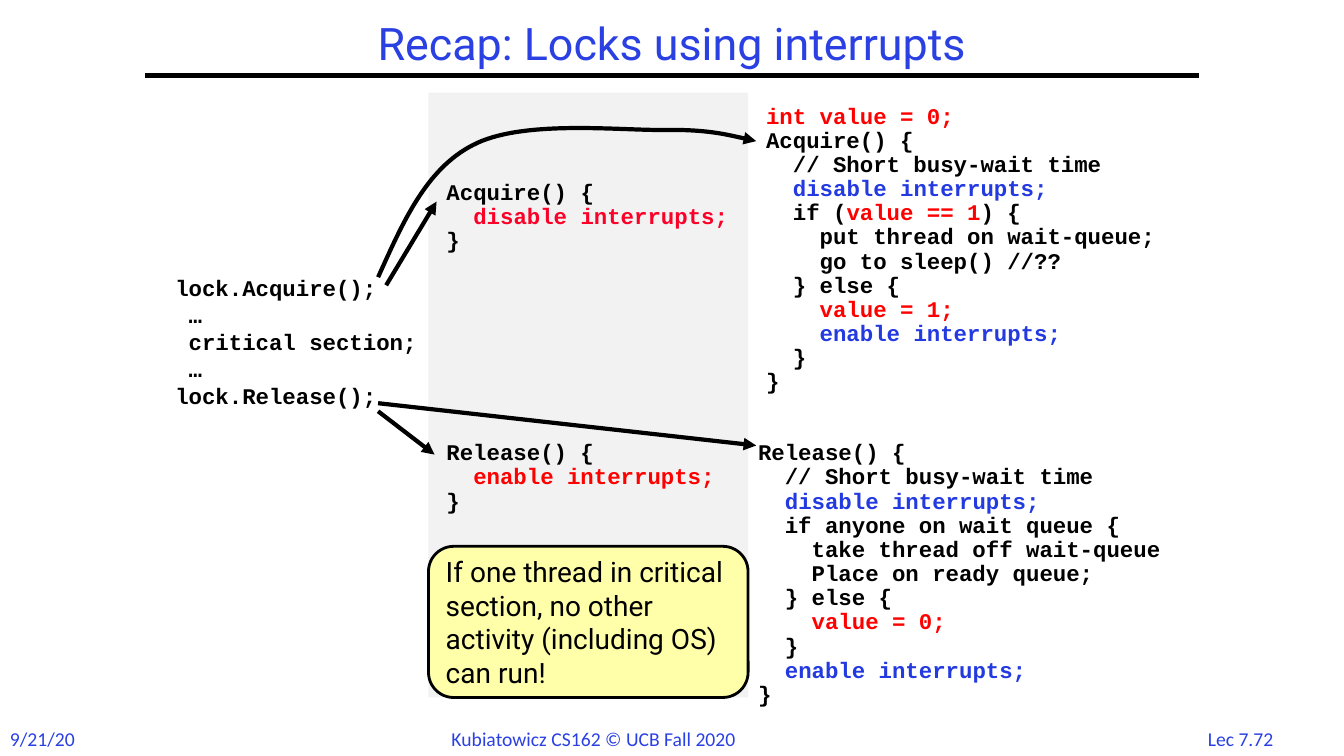
from lxml import etree
from pptx import Presentation
from pptx.dml.color import RGBColor
from pptx.enum import shapes, text
from pptx.oxml.ns import qn
from pptx.util import Inches, Pt

BLACK = RGBColor(0x00, 0x00, 0x00)
BLUE = RGBColor(0x2A, 0x40, 0xE2)
CODE_BLUE = RGBColor(0x23, 0x3A, 0xE1)
RED = RGBColor(0xFF, 0x00, 0x00)
CRIMSON = RGBColor(0xFC, 0x01, 0x28)
GREY = RGBColor(0xF2, 0xF2, 0xF2)
YELLOW = RGBColor(0xFF, 0xFF, 0xAA)

CALLER = """lock.Acquire();
 …
 critical section;
 …
lock.Release();"""

SIMPLE_ACQUIRE = """Acquire() {
  disable interrupts;
}"""

SIMPLE_RELEASE = """Release() {
  enable interrupts;
}"""

FULL_ACQUIRE = """int value = 0;
Acquire() {
  // Short busy-wait time
  disable interrupts;
  if (value == 1) {
    put thread on wait-queue;
    go to sleep() //??
  } else {
    value = 1;
    enable interrupts;
  }
}"""

FULL_RELEASE = """Release() {
  // Short busy-wait time
  disable interrupts;
  if anyone on wait queue {
    take thread off wait-queue
    Place on ready queue;
  } else {
    value = 0;
  }
  enable interrupts;
}"""

INTERRUPTS = {"disable interrupts;": CODE_BLUE, "enable interrupts;": CODE_BLUE}


def set_font(font, name, size, color, bold=False):
    font.name, font.size, font.bold = name, Pt(size), bold
    font.color.rgb = color


def add_text_box(slide, box, wrap=True):
    sp = slide.shapes.add_textbox(*map(Inches, box))
    sp.text_frame.word_wrap = wrap
    return sp.text_frame


def add_label(slide, box, words, name, size, align, wrap=False):
    tf = add_text_box(slide, box, wrap)
    tf.vertical_anchor = text.MSO_ANCHOR.MIDDLE if wrap else text.MSO_ANCHOR.TOP
    p = tf.paragraphs[0]
    p.text, p.alignment = words, align
    set_font(p.font, name, size, BLUE)
    return p


def add_code(slide, box, code, highlights, line_spacing=0.9, gap=0):
    """One paragraph per code line; highlighted phrases get their own colour."""
    tf = add_text_box(slide, box)
    for i, line in enumerate(code.split("\n")):
        p = tf.paragraphs[0] if i == 0 else tf.add_paragraph()
        p.line_spacing = line_spacing
        p.space_before = Pt(gap if i else 0)
        set_font(p.font, "Courier New", 16, BLACK, bold=True)
        phrase = next((h for h in highlights if h in line), "")
        before, mark, after = line.partition(phrase) if phrase else (line, "", "")
        for part, color in ((before, BLACK), (mark, highlights.get(phrase)), (after, BLACK)):
            if part:
                r = p.add_run()
                r.text = part
                set_font(r.font, "Courier New", 16, color, bold=True)


def style_line(sp, arrow=True):
    sp.line.color.rgb = BLACK
    sp.line.width = Pt(3)
    if arrow:
        ln = sp.line._get_or_add_ln()
        etree.SubElement(ln, qn("a:tailEnd"), type="triangle")


def add_line(slide, start, end, arrow=True):
    cx = slide.shapes.add_connector(
        shapes.MSO_CONNECTOR.STRAIGHT, *map(Inches, start + end))
    style_line(cx, arrow)
    etree.SubElement(cx._element.spPr, qn("a:effectLst"))


def add_curved_arrow(slide, start, curves):
    """Each curve is (control, control, end), in hundredths of an inch."""
    ends = [curve[-1] for curve in curves]
    builder = slide.shapes.build_freeform(*start, scale=Inches(0.01))
    builder.add_line_segments(ends, close=False)
    sp = builder.convert_to_shape()
    left = min(x for x, _ in [start] + ends)
    top = min(y for _, y in [start] + ends)
    # Turn the straight segments into Bezier curves
    for segment, curve in zip(list(sp._element.iter(qn("a:lnTo"))), curves):
        bezier = etree.Element(qn("a:cubicBezTo"))
        for x, y in curve:
            etree.SubElement(bezier, qn("a:pt"), x=str(x - left), y=str(y - top))
        segment.getparent().replace(segment, bezier)
    sp.shadow.inherit = False
    sp.fill.background()
    style_line(sp)


def add_panel(slide, kind, box, color):
    sp = slide.shapes.add_shape(kind, *map(Inches, box))
    sp.shadow.inherit = False
    sp.fill.solid()
    sp.fill.fore_color.rgb = color
    sp.line.fill.background()
    return sp


def add_header(slide, left, top, width, height):
    p = add_label(slide, (left, top, width, height), "Recap: Locks using interrupts",
                  "Roboto", 32, text.PP_ALIGN.CENTER, wrap=True)
    p.line_spacing = 0.9
    add_line(slide, (left, top + height), (left + width, top + height), arrow=False)


def add_footer(slide, top):
    for left, width, words, align in (
            (0, 0.85, "9/21/20", text.PP_ALIGN.LEFT),
            (4.38, 3.43, "Kubiatowicz CS162 © UCB Fall 2020", text.PP_ALIGN.LEFT),
            (11.82, 0.97, "Lec 7.72", text.PP_ALIGN.CENTER)):
        add_label(slide, (left, top, width, 0.34), words, "Calibri", 14, align)


def add_simple_locks(slide, left, top, width, height):
    add_panel(slide, shapes.MSO_SHAPE.RECTANGLE, (left, top, width, height), GREY)
    add_code(slide, (left + 0.08, top + 0.83, 3.42, 0.83), SIMPLE_ACQUIRE,
             {"disable interrupts;": CRIMSON})
    add_code(slide, (left + 0.08, top + 3.41, 3, 0.83), SIMPLE_RELEASE,
             {"enable interrupts;": RED})

    # Warning at the foot of the panel
    sp = add_panel(slide, shapes.MSO_SHAPE.ROUNDED_RECTANGLE,
                   (left, top + height - 1.5, width, 1.5), YELLOW)
    sp.line.color.rgb = BLACK
    sp.line.width = Pt(2)
    tf = sp.text_frame
    tf.word_wrap = True
    tf.vertical_anchor = text.MSO_ANCHOR.MIDDLE
    p = tf.paragraphs[0]
    p.text = "If one thread in critical section, no other activity (including OS) can run!"
    p.alignment = text.PP_ALIGN.LEFT
    set_font(p.font, "Roboto", 20, BLACK)


def add_full_locks(slide, left, top):
    add_code(slide, (left + 0.08, top, 4.17, 3.01), FULL_ACQUIRE,
             INTERRUPTS | dict.fromkeys(("int value = 0;", "value == 1", "value = 1;"), RED))
    add_code(slide, (left, top + 3.34, 4.35, 2.77), FULL_RELEASE,
             INTERRUPTS | {"value = 0;": RED})


def add_call_arrows(slide):
    for start, end in (((3.75, 4.08), (4.31, 4.51)),
                       ((3.75, 4), (7.5, 4.42)),
                       ((3.83, 2.83), (4.33, 2))):
        add_line(slide, start, end)
    add_curved_arrow(slide, (375, 275), [
        ((399, 222), (422, 168), (469, 144)),
        ((516, 119), (609, 129), (656, 129)),
        ((703, 128), (750, 140), (750, 140))])


def main():
    prs = Presentation()
    prs.slide_width, prs.slide_height = Inches(13.33), Inches(7.5)
    slide = prs.slides.add_slide(prs.slide_layouts[6])
    add_footer(slide, 7.16)
    add_header(slide, 1.44, 0.17, 10.45, 0.58)
    add_simple_locks(slide, 4.25, 0.92, 3.17, 6)
    add_full_locks(slide, 7.42, 0.99)
    add_code(slide, (1.64, 2.72, 2.86, 1.78), CALLER, {}, line_spacing=0.8, gap=4)
    add_call_arrows(slide)
    prs.save("out.pptx")


if __name__ == "__main__":
    main()
